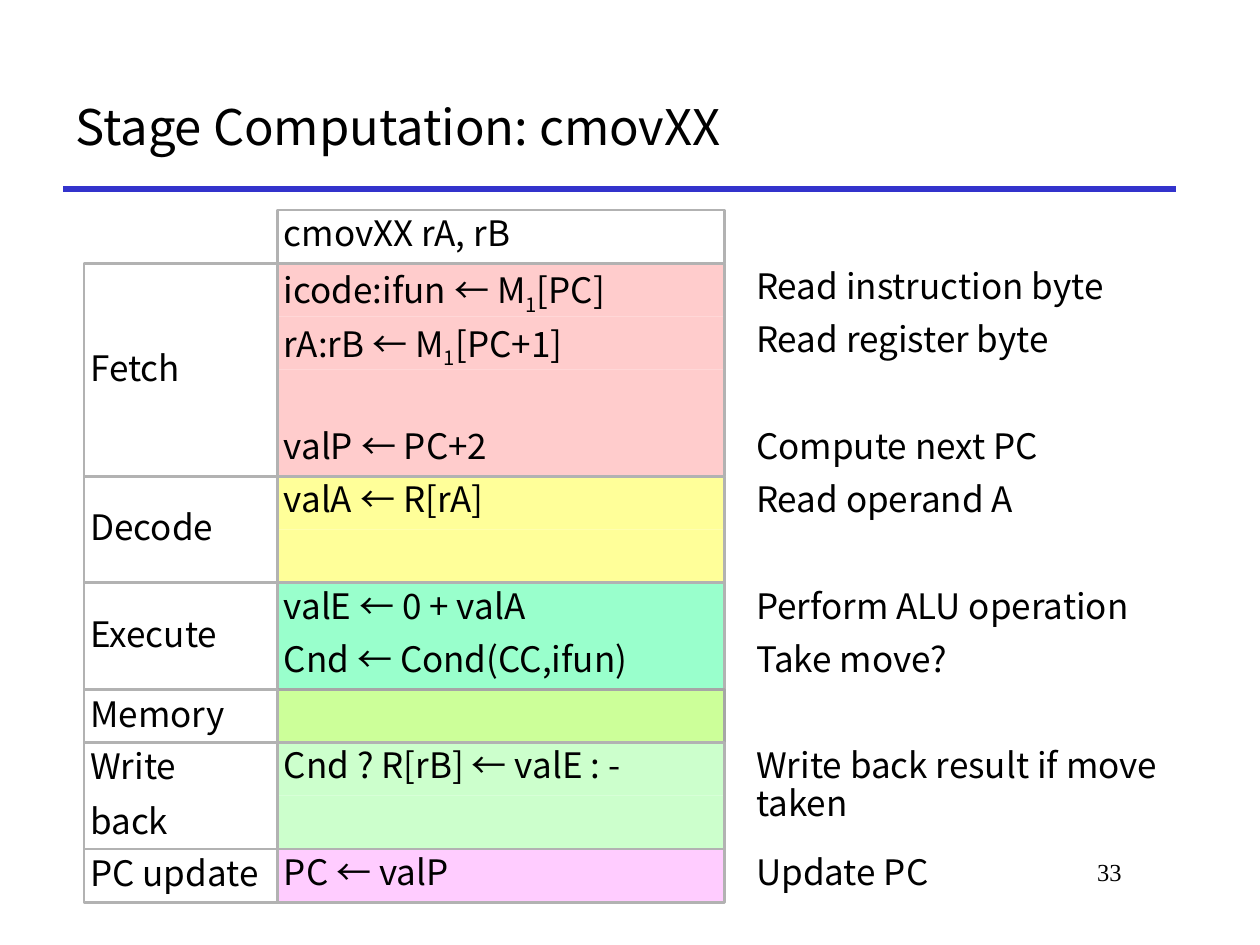
from pptx import Presentation
from pptx.dml.color import RGBColor
from pptx.enum.shapes import MSO_CONNECTOR as Link, MSO_SHAPE as Kind
from pptx.enum.text import MSO_ANCHOR as Anchor, PP_ALIGN as Align
from pptx.oxml.ns import qn
from pptx.util import Pt
from lxml import etree

SANS = "Noto Sans CJK KR"
GREY = "B2B2B2"
ROW = 30.43        # height of one table row
STAGE_W = 110.6    # width of the stage names
WIDE = 255.6       # width of the steps and of the notes
GAP = 14.2         # space between steps and notes

# Stage, fill, outline, and its (step, note) rows; "_" lowers the next character
STAGES = [
    ("Fetch", "FFCCCC", GREY, [
        ("icode:ifun ← M_1[PC]", "Read instruction byte"),
        ("rA:rB ← M_1[PC+1]", "Read register byte"),
        ("", ""),
        ("valP ← PC+2", "Compute next PC")]),
    ("Decode", "FFFF99", GREY, [("valA ← R[rA]", "Read operand A"), ("", "")]),
    ("Execute", "99FFCC", GREY, [
        ("valE ← 0 + valA", "Perform ALU operation"),
        ("Cnd ← Cond(CC,ifun)", "Take move?")]),
    ("Memory", "CCFF99", "A6A6A6", [("", "")]),
    ("Write\nback", "CCFFCC", GREY, [
        ("Cnd ? R[rB] ← valE : -", "Write back result if move taken"), ("", "")]),
    ("PC update", "FFCCFF", GREY, [("PC ← valP", "Update PC")]),
]


def paint(hue):
    return RGBColor.from_string(hue)


def style(para, size, face):
    para.font.size = Pt(size)
    para.font.name = face
    para.font.color.rgb = paint("000000")


def write(para, text):
    """Add the runs of one line, lowering each character after "_"."""
    first, *rest = text.split("_")
    para.add_run().text = first
    for part in rest:
        low = para.add_run()
        low.text = part[0]
        low._r.get_or_add_rPr().set("baseline", "-25000")
        para.add_run().text = part[1:]


def fill_cell(shape, text, anchor=Anchor.TOP):
    frame = shape.text_frame
    frame.word_wrap = True
    frame.vertical_anchor = anchor
    frame.margin_left = frame.margin_right = Pt(3.6)
    frame.margin_top = frame.margin_bottom = Pt(3.6)
    for i, line in enumerate(text.split("\n")):
        para = frame.add_paragraph() if i else frame.paragraphs[0]
        para.alignment = Align.LEFT
        para.line_spacing = 0.9
        para.space_before = Pt(10 if i else 0)
        style(para, 20, SANS)
        write(para, line)


def add_box(slide, x, y, w, h, fill=None, line=None, text="", anchor=Anchor.TOP):
    box = slide.shapes.add_shape(Kind.RECTANGLE, Pt(x), Pt(y), Pt(w), Pt(h))
    box.shadow.inherit = False
    if fill:
        box.fill.solid()
        box.fill.fore_color.rgb = paint(fill)
    else:
        box.fill.background()
    if line:
        box.line.color.rgb = paint(line)
        box.line.width = Pt(1.5)
    else:
        box.line.fill.background()
    if text:
        fill_cell(box, text, anchor)


def add_label(slide, x, y, w, h, text, size, face, anchor, align):
    frame = slide.shapes.add_textbox(Pt(x), Pt(y), Pt(w), Pt(h)).text_frame
    frame.word_wrap = True
    frame.vertical_anchor = anchor
    para = frame.paragraphs[0]
    para.text = text
    para.alignment = align
    style(para, size, face)


def add_head(slide, x, y, w, h, text):
    """Title with a rule along its lower edge."""
    rule = slide.shapes.add_connector(
        Link.STRAIGHT, Pt(x), Pt(y + h), Pt(x + w), Pt(y + h))
    rule.line.color.rgb = paint("3333CC")
    rule.line.width = Pt(3)
    etree.SubElement(rule._element.spPr, qn("a:effectLst"))
    add_label(slide, x, y, w, h, text, 28, SANS, Anchor.MIDDLE, Align.LEFT)


def add_stage(slide, x, y, name, fill, line, rows):
    """One stage: name, coloured steps and notes; returns its height."""
    high = ROW * len(rows)
    mid = x + STAGE_W
    single = len(rows) == 1
    for i, (step, note) in enumerate(rows):
        top = y + i * ROW
        add_box(slide, mid, top, WIDE, ROW, fill, line if single else None, step)
        if note:
            tag = slide.shapes.add_textbox(
                Pt(mid + WIDE + GAP), Pt(top), Pt(WIDE), Pt(ROW))
            fill_cell(tag, note)
    if not single:
        add_box(slide, mid, y, WIDE, high, line=line)
    add_box(slide, x, y, STAGE_W, high, line=GREY, text=name, anchor=Anchor.MIDDLE)
    return high


def add_stages(slide, x, y, head):
    add_box(slide, x + STAGE_W, y, WIDE, ROW, line=GREY, text=head)
    y += ROW
    for stage in STAGES:
        y += add_stage(slide, x, y, *stage)


deck = Presentation()
deck.slide_width, deck.slide_height = Pt(720), Pt(540)
page = deck.slides.add_slide(deck.slide_layouts[6])
add_head(page, 36, 36, 636, 72, "Stage Computation: cmovXX")
add_stages(page, 48, 120, "cmovXX rA, rB")
add_label(page, 546, 486, 102, 36, "33", 14, "Times New Roman",
          Anchor.TOP, Align.RIGHT)
deck.save("out.pptx")
